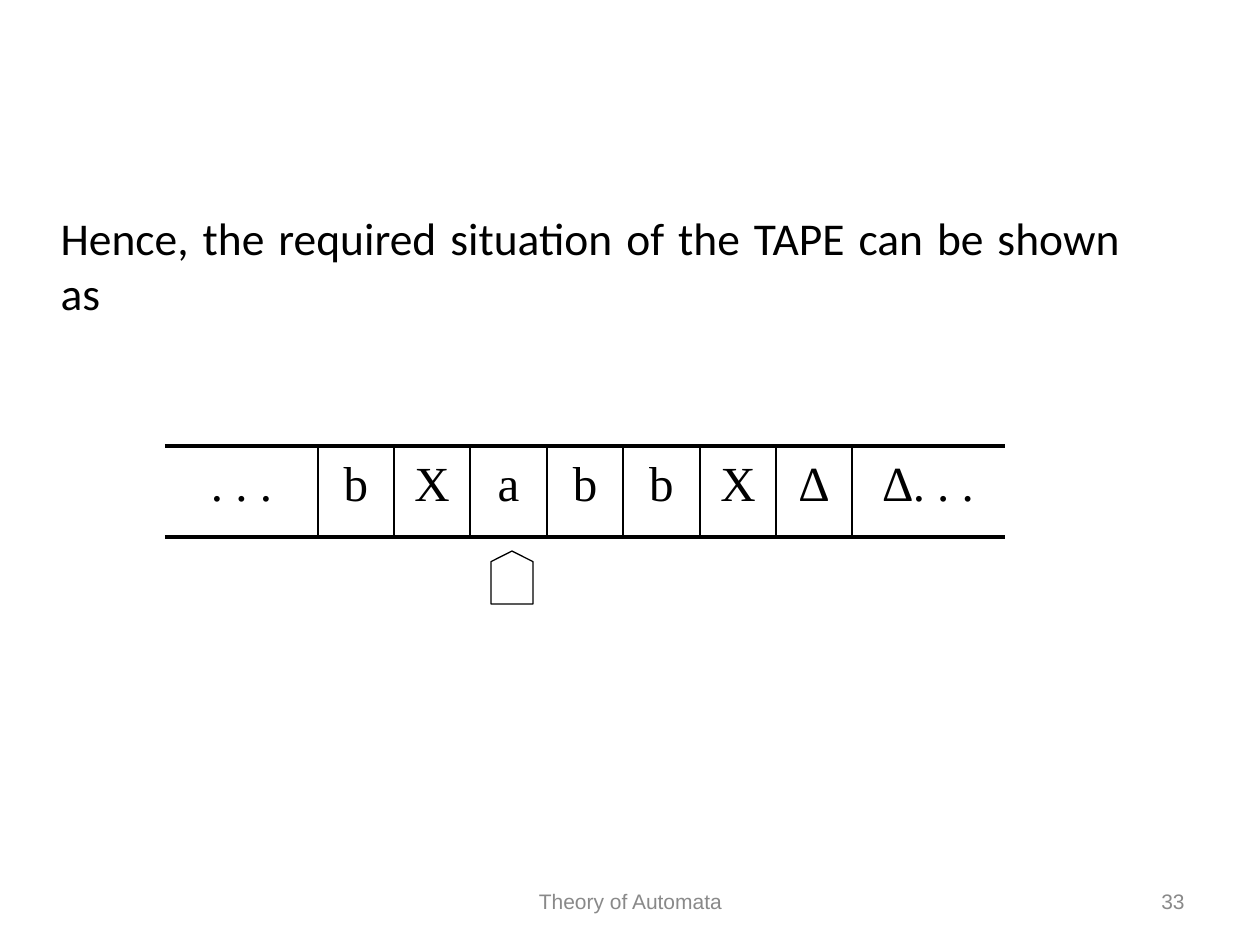
import pptx
import pptx.util
import pptx.dml.color
import pptx.enum.shapes
import pptx.enum.text
import pptx.oxml.ns
import lxml.etree

SCALE = 914400 // 126  # EMU per px
ALIGN = pptx.enum.text.PP_ALIGN
ANCHOR = pptx.enum.text.MSO_ANCHOR


def px(*lengths):
    return [pptx.util.Emu(length * SCALE) for length in lengths]


def set_color(target, color):
    target.rgb = pptx.dml.color.RGBColor.from_string(color)


deck = pptx.Presentation()
deck.slide_width, deck.slide_height = px(1260, 945)
page = deck.slides.add_slide(deck.slide_layouts[1])
title, body = page.placeholders
title.element.getparent().remove(title.element)

# Body sentence, indented and without a bullet
body.left, body.top, body.width, body.height = px(0, 204, 1134, 624)
body.text_frame.text = "Hence, the required situation of the TAPE can be shown as"
body.text_frame.auto_size = pptx.enum.text.MSO_AUTO_SIZE.NONE
para = body.text_frame.paragraphs[0]
para.alignment = ALIGN.JUSTIFY
para.space_before = pptx.util.Pt(6.5)
properties = para._p.get_or_add_pPr()
properties.set("marL", str(48 * SCALE))
properties.set("indent", "0")
lxml.etree.SubElement(properties, pptx.oxml.ns.qn("a:buNone"))
span = para.runs[0]
span.font.size = pptx.util.Pt(26)
span.font.name = "Calibri"
set_color(span.font.color, "000000")

# Tape geometry: eleven units, the first and last cells take two each
symbols = [". . .", "b", "X", "a", "b", "b", "X", "∆", "∆. . ."]
left, right, top, bottom = 165, 1005, 446, 537
units = [0, *range(2, 10), 11]
edges = [left + round((right - left) * unit / 11) for unit in units]
tape = page.shapes.add_group_shape()

# Texts: tape symbols, then the footer and page number
texts = [
    (tape, symbol, (start, top, end - start, bottom - top),
     ALIGN.CENTER, ANCHOR.TOP, 7, "Times New Roman", 28, "000000")
    for symbol, start, end in zip(symbols, edges, edges[1:])
]
texts += [
    (page, "Theory of Automata", (431, 876, 399, 50),
     ALIGN.CENTER, ANCHOR.MIDDLE, 0, "Arial", 12, "898989"),
    (page, "33", (903, 876, 294, 50),
     ALIGN.RIGHT, ANCHOR.MIDDLE, 0, "Arial", 12, "898989"),
]
for parent, text, place, alignment, anchor, before, font, size, color in texts:
    box = parent.shapes.add_textbox(*px(*place))
    box.text_frame.text = text
    box.text_frame.word_wrap = True
    box.text_frame.vertical_anchor = anchor
    para = box.text_frame.paragraphs[0]
    para.alignment = alignment
    para.space_before = pptx.util.Pt(before)
    span = para.runs[0]
    span.font.name = font
    span.font.size = pptx.util.Pt(size)
    set_color(span.font.color, color)

# Tape rails and cell dividers
rules = [(left, y, right, y, 2.25) for y in (top, bottom)]
rules += [(x, top, x, bottom, 1) for x in edges[1:-1]]
for x1, y1, x2, y2, weight in rules:
    rule = tape.shapes.add_connector(
        pptx.enum.shapes.MSO_CONNECTOR.STRAIGHT, *px(x1, y1, x2, y2))
    rule.line.width = pptx.util.Pt(weight)
    set_color(rule.line.color, "000000")
    lxml.etree.SubElement(rule._element.spPr, pptx.oxml.ns.qn("a:effectLst"))

# Tape head
head = tape.shapes.add_shape(
    pptx.enum.shapes.MSO_SHAPE.FLOWCHART_OFFPAGE_CONNECTOR, *px(491, 551, 42, 53))
head.rotation = 180
head.shadow.inherit = False
head.fill.background()
head.line.width = pptx.util.Pt(0.75)
set_color(head.line.color, "000000")

deck.save("out.pptx")
